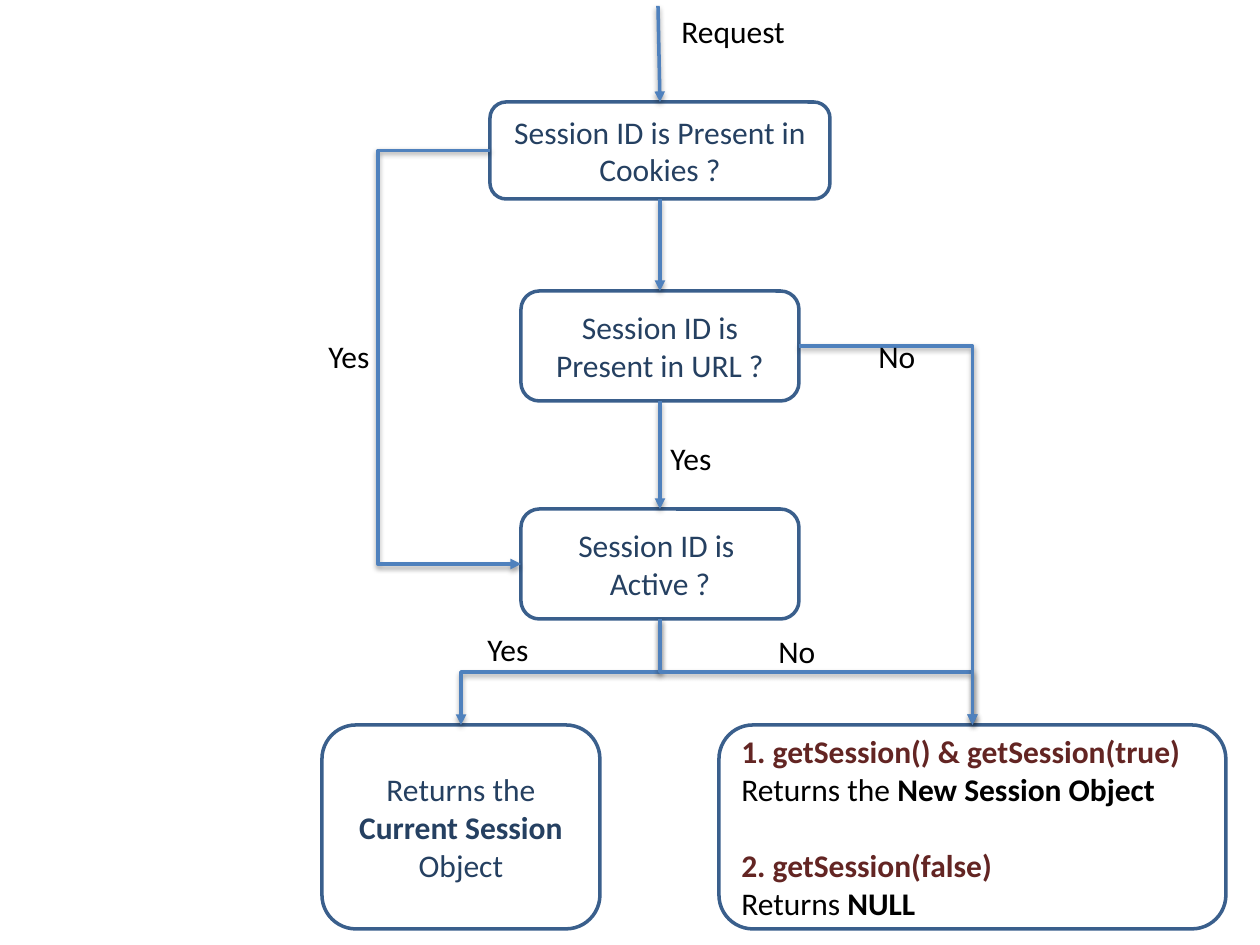
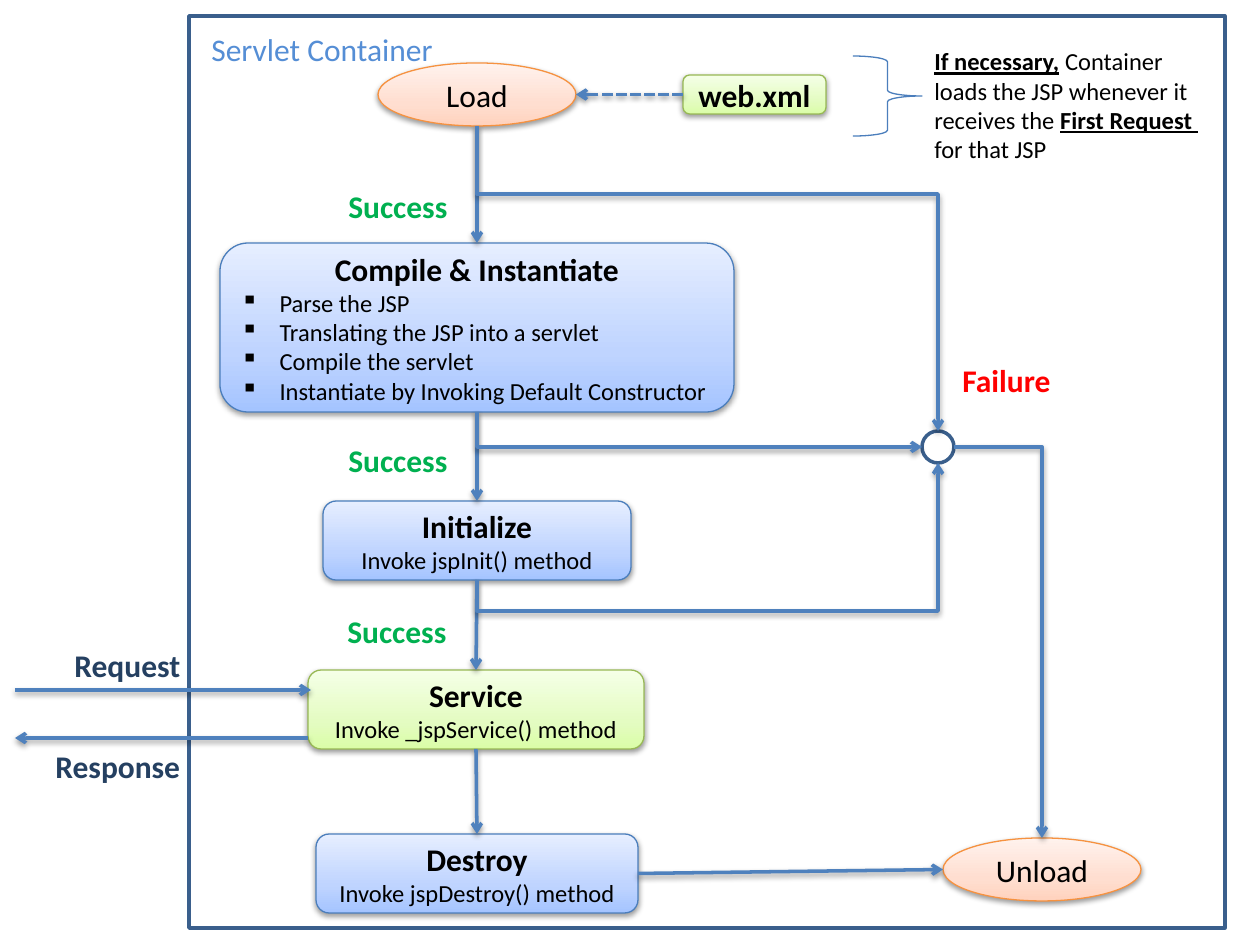
from pptx import Presentation
from pptx.dml.color import RGBColor
from pptx.enum.dml import MSO_LINE
from pptx.enum.shapes import MSO_CONNECTOR, MSO_SHAPE
from pptx.enum.text import MSO_ANCHOR, PP_ALIGN
from pptx.oxml import parse_xml
from pptx.oxml.ns import nsdecls, qn
from pptx.util import Pt

SCALE = 914400 / 126  # EMU in one px
SLIDE_SIZE = (1260, 945)
TOP, LEFT, BOTTOM, RIGHT = range(4)
FONT, ARROW_BLUE, OUTLINE, STEP_BLUE = "Calibri", "4F81BD", "3A5F8C", "4B7EBC"

# Text styles: font attributes and colour
STYLES = {
    "plain": ({"size": Pt(18)}, "000000"),
    "bold": ({"size": Pt(18), "bold": True}, "000000"),
    "small": ({"size": Pt(14)}, "000000"),
    "bullet": ({"size": Pt(14)}, "000000"),
    "stress": ({"size": Pt(14), "bold": True, "underline": True}, "000000"),
    "navy": ({"size": Pt(18)}, "254061"),
    "navy bold": ({"size": Pt(18), "bold": True}, "254061"),
    "call": ({"size": Pt(18), "bold": True}, "632523"),
    "next call": ({"size": Pt(18), "bold": True}, "632523"),
    "container": ({"size": Pt(18)}, "558ED5"),
    "success": ({"size": Pt(18), "bold": True}, "00B050"),
    "failure": ({"size": Pt(18), "bold": True}, "FF0000"),
}
BULLET_INDENT = 39
NEXT_CALL_GAP = Pt(22)

# Box kinds: preset, line colour, line width, fill (None, one colour, or gradient), alignment
BLUE = ("A4C4FF", "BFD4FF", "E6EEFF")
GREEN = ("DAFDA7", "E4FCC2", "F5FFE7")
ORANGE = ("FFD2BD", "FFDED0", "FFF2ED")
GRADIENT_STOPS = (0, 35, 100)
KINDS = {
    "question": (MSO_SHAPE.ROUNDED_RECTANGLE, OUTLINE, 2, None, PP_ALIGN.CENTER),
    "answer": (MSO_SHAPE.ROUNDED_RECTANGLE, OUTLINE, 2, None, PP_ALIGN.LEFT),
    "frame": (MSO_SHAPE.RECTANGLE, OUTLINE, 2, None, PP_ALIGN.CENTER),
    "brace": (MSO_SHAPE.RIGHT_BRACE, STEP_BLUE, 0.75, None, PP_ALIGN.CENTER),
    "junction": (MSO_SHAPE.FLOWCHART_CONNECTOR, OUTLINE, 2, "FFFFFF", PP_ALIGN.CENTER),
    "step": (MSO_SHAPE.FLOWCHART_ALTERNATE_PROCESS, STEP_BLUE, 0.75, BLUE, PP_ALIGN.CENTER),
    "service": (MSO_SHAPE.FLOWCHART_ALTERNATE_PROCESS, "98B955", 0.75, GREEN, PP_ALIGN.CENTER),
    "state": (MSO_SHAPE.OVAL, "F69240", 0.75, ORANGE, PP_ALIGN.CENTER),
}
ROUND_KINDS = ("junction", "state")  # these have eight connection sites

# Boxes: key: (kind, (left, top, width, height), paragraphs of (text, style) runs)
# Straight arrows: (from, to), each end a point or a (box, side)
# Elbows: (from, to, rotation, flips, bend); bend is the px line of the middle leg, None for one corner
# Labels: ((left, top, width, height), paragraphs)
SESSION_LOOKUP = {
    "head": "triangle",
    "boxes": {
        "cookies": ("question", (490, 102, 340, 97),
                    [[("Session ID is Present in Cookies ?", "navy")]]),
        "url": ("question", (521, 291, 278, 110), [[("Session ID is Present in URL ?", "navy")]]),
        "active": ("question", (521, 509, 278, 110),
                   [[("Session ID is ", "navy")], [("Active ?", "navy")]]),
        "current": ("question", (322, 725, 278, 204),
                    [[("Returns the ", "navy"), ("Current Session", "navy bold"),
                      (" Object", "navy")]]),
        "new": ("answer", (719, 725, 507, 204), [
            [("1. getSession() & getSession(true)", "call")],
            [("Returns the ", "plain"), ("New Session Object", "bold")],
            [("2. getSession(false)", "next call")],
            [("Returns ", "plain"), ("NULL", "bold")]]),
    },
    "arrows": [
        ((658, 6), ("cookies", TOP)),
        (("cookies", BOTTOM), ("url", TOP)),
        (("url", BOTTOM), ("active", TOP)),
    ],
    "dashed": [],
    "elbows": [
        (("active", BOTTOM), ("current", TOP), 90, "", 672),
        (("active", BOTTOM), ("new", TOP), 270, "H", 672),
        (("cookies", LEFT), ("active", LEFT), 180, "HV", 378),
        (("url", RIGHT), ("new", TOP), 0, "", None),
    ],
    "labels": [
        ((669, 6, 130, 50), [[("Request", "plain")]]),
        ((316, 331, 67, 50), [[("Yes", "plain")]]),
        ((475, 624, 67, 50), [[("Yes", "plain")]]),
        ((658, 433, 67, 50), [[("Yes", "plain")]]),
        ((866, 331, 63, 50), [[("No", "plain")]]),
        ((766, 626, 63, 50), [[("No", "plain")]]),
    ],
}
JSP_LIFE_CYCLE = {
    "head": "arrow",
    "boxes": {
        "compile": ("step", (220, 243, 514, 169), [
            [("Compile & Instantiate", "bold")],
            [("Parse the JSP", "bullet")],
            [("Translating the JSP into a servlet", "bullet")],
            [("Compile the servlet", "bullet")],
            [("Instantiate by Invoking Default Constructor", "bullet")]]),
        "load": ("state", (378, 63, 198, 63), [[("Load", "plain")]]),
        "unload": ("state", (943, 838, 198, 63), [[("Unload", "plain")]]),
        "initialize": ("step", (323, 501, 308, 79),
                       [[("Initialize", "bold")], [("Invoke jspInit() method", "small")]]),
        "service": ("service", (308, 670, 336, 79),
                    [[("Service", "bold")], [("Invoke _jspService() method", "small")]]),
        "destroy": ("step", (316, 834, 322, 79),
                    [[("Destroy", "bold")], [("Invoke jspDestroy() method", "small")]]),
        "container": ("frame", (189, 16, 1036, 912), []),
        "failed": ("junction", (922, 431, 32, 32), []),
        "note brace": ("brace", (853, 56, 69, 80), []),
        "web.xml": ("service", (683, 75, 143, 39), [[("web.xml", "bold")]]),
    },
    "arrows": [
        (("load", BOTTOM), ("compile", TOP)),
        (("compile", BOTTOM), ("initialize", TOP)),
        (("initialize", BOTTOM), ("service", TOP)),
        (("service", BOTTOM), ("destroy", TOP)),
        (("destroy", RIGHT), ("unload", LEFT)),
        ((15, 690), (311, 690)),
        ((308, 738), (15, 738)),
    ],
    "dashed": [(("web.xml", LEFT), ("load", RIGHT))],
    "elbows": [
        (("load", BOTTOM), ("failed", TOP), 270, "H", 194),
        (("compile", BOTTOM), ("failed", LEFT), 270, "H", None),
        (("initialize", BOTTOM), ("failed", BOTTOM), 90, "HV", 611),
        (("failed", RIGHT), ("unload", TOP), 0, "", None),
    ],
    "labels": [
        ((199, 24, 249, 50), [[("Servlet Container", "container")]]),
        ((922, 40, 291, 131), [
            [("If necessary,", "stress"), (" Container", "small")],
            [("loads the JSP whenever it", "small")],
            [("receives the ", "small"), ("First Request ", "stress")],
            [("for that JSP", "small")]]),
        ((950, 355, 115, 50), [[("Failure", "failure")]]),
        ((336, 181, 125, 50), [[("Success", "success")]]),
        ((336, 435, 125, 50), [[("Success", "success")]]),
        ((335, 606, 125, 50), [[("Success", "success")]]),
        ((62, 640, 132, 50), [[("Request", "navy bold")]]),
        ((43, 741, 151, 50), [[("Response", "navy bold")]]),
    ],
}


def emu(*lengths):
    return [round(length * SCALE) for length in lengths]


def rgb(code):
    return RGBColor.from_string(code)


def drawing(tag, attributes="", inner=""):
    return parse_xml(f"<a:{tag} {nsdecls('a')} {attributes}>{inner}</a:{tag}>")


def soft_shadow():
    return drawing("effectLst", inner=(
        '<a:outerShdw blurRad="40000" dist="20000" dir="5400000" rotWithShape="0">'
        '<a:srgbClr val="000000"><a:alpha val="38000"/></a:srgbClr></a:outerShdw>'))


def write(frame, paragraphs, align):
    for number, runs in enumerate(paragraphs):
        paragraph = frame.add_paragraph() if number else frame.paragraphs[0]
        first_style = runs[0][1]
        paragraph.alignment = PP_ALIGN.LEFT if first_style == "bullet" else align
        if first_style == "next call":
            paragraph.space_before = NEXT_CALL_GAP
        if first_style == "bullet":
            indent, = emu(BULLET_INDENT)
            properties = paragraph._p.get_or_add_pPr()
            properties.set("marL", str(indent))
            properties.set("indent", str(-indent))
            properties.append(drawing("buChar", 'char="▪"'))
        for text, style in runs:
            run = paragraph.add_run()
            run.text = text
            values, color = STYLES[style]
            for name, value in {"name": FONT, **values}.items():
                setattr(run.font, name, value)
            run.font.color.rgb = rgb(color)


def add_box(slide, kind, place, paragraphs):
    preset, line_color, line_width, fill, align = KINDS[kind]
    box = slide.shapes.add_shape(preset, *emu(*place))
    box.line.color.rgb = rgb(line_color)
    box.line.width = Pt(line_width)
    box.shadow.inherit = False
    box.fill.background()
    properties = box._element.spPr
    if isinstance(fill, str):
        box.fill.solid()
        box.fill.fore_color.rgb = rgb(fill)
    elif fill:
        stops = "".join(f'<a:gs pos="{stop * 1000}"><a:srgbClr val="{color}"/></a:gs>'
                        for stop, color in zip(GRADIENT_STOPS, fill))
        gradient = drawing("gradFill", 'rotWithShape="1"',
                           f'<a:gsLst>{stops}</a:gsLst><a:lin ang="16200000" scaled="0"/>')
        properties.replace(properties.find(qn("a:noFill")), gradient)
        properties.replace(properties.find(qn("a:effectLst")), soft_shadow())
    box.text_frame.word_wrap = True
    box.text_frame.vertical_anchor = MSO_ANCHOR.MIDDLE
    write(box.text_frame, paragraphs, align)
    return box


def end_point(end, boxes):
    """The px point of an arrow end: a side's middle, or the point itself."""
    if not isinstance(end[0], str):
        return end
    left, top, width, height = boxes[end[0]][1]
    across, down = {TOP: (0.5, 0), LEFT: (0, 0.5), BOTTOM: (0.5, 1), RIGHT: (1, 0.5)}[end[1]]
    return left + across * width, top + down * height


def add_arrow(slide, ends, boxes, drawn, head, shape=MSO_CONNECTOR.STRAIGHT):
    points = [end_point(end, boxes) for end in ends]
    arrow = slide.shapes.add_connector(shape, *emu(*points[0], *points[1]))
    for end, join, tag in zip(ends, (arrow.begin_connect, arrow.end_connect), ("stCxn", "endCxn")):
        if isinstance(end[0], str):
            key, side = end
            join(drawn[key], side)
            if boxes[key][0] in ROUND_KINDS:
                next(arrow._element.iter(qn(f"a:{tag}"))).set("idx", str(side * 2))
    arrow.line.color.rgb = rgb(ARROW_BLUE)
    arrow.line.width = Pt(2)
    arrow.line._get_or_add_ln().append(drawing("tailEnd", f'type="{head}"'))
    arrow._element.spPr.append(soft_shadow())
    return arrow, points


def add_elbow(slide, elbow, boxes, drawn, head):
    start, end, rotation, flips, bend = elbow
    arrow, points = add_arrow(slide, (start, end), boxes, drawn, head, MSO_CONNECTOR.ELBOW)
    (x1, y1), (x2, y2) = points
    width, height = abs(x2 - x1), abs(y2 - y1)
    upright = rotation in (90, 270)
    if upright:
        width, height = height, width
    arrow.left, arrow.top, arrow.width, arrow.height = emu(
        (x1 + x2 - width) / 2, (y1 + y2 - height) / 2, width, height)
    frame = arrow._element.spPr.find(qn("a:xfrm"))
    frame.set("rot", str(rotation * 60000))
    for axis in "HV":
        frame.set(f"flip{axis}", str(int(axis in flips)))
    geometry = arrow._element.spPr.find(qn("a:prstGeom"))
    if bend is None:
        geometry.set("prst", "bentConnector2")
        return
    first, last = (y1, y2) if upright else (x1, x2)
    share = round((bend - first) / (last - first) * 100000)
    for guides in geometry.findall(qn("a:avLst")):
        geometry.remove(guides)
    geometry.append(drawing("avLst", inner=f'<a:gd name="adj1" fmla="val {share}"/>'))


def add_chart_slide(deck, chart):
    slide = deck.slides.add_slide(deck.slide_layouts[6])
    boxes, head = chart["boxes"], chart["head"]
    drawn = {key: add_box(slide, *box) for key, box in boxes.items()}
    for ends in chart["arrows"]:
        add_arrow(slide, ends, boxes, drawn, head)
    for ends in chart["dashed"]:
        arrow, _ = add_arrow(slide, ends, boxes, drawn, head)
        arrow.line.dash_style = MSO_LINE.SQUARE_DOT
    for elbow in chart["elbows"]:
        add_elbow(slide, elbow, boxes, drawn, head)
    for place, paragraphs in chart["labels"]:
        label = slide.shapes.add_textbox(*emu(*place))
        label.text_frame.word_wrap = False
        write(label.text_frame, paragraphs, PP_ALIGN.LEFT)


def main():
    deck = Presentation()
    deck.slide_width, deck.slide_height = emu(*SLIDE_SIZE)
    for chart in (SESSION_LOOKUP, JSP_LIFE_CYCLE):
        add_chart_slide(deck, chart)
    deck.save("out.pptx")


if __name__ == "__main__":
    main()
